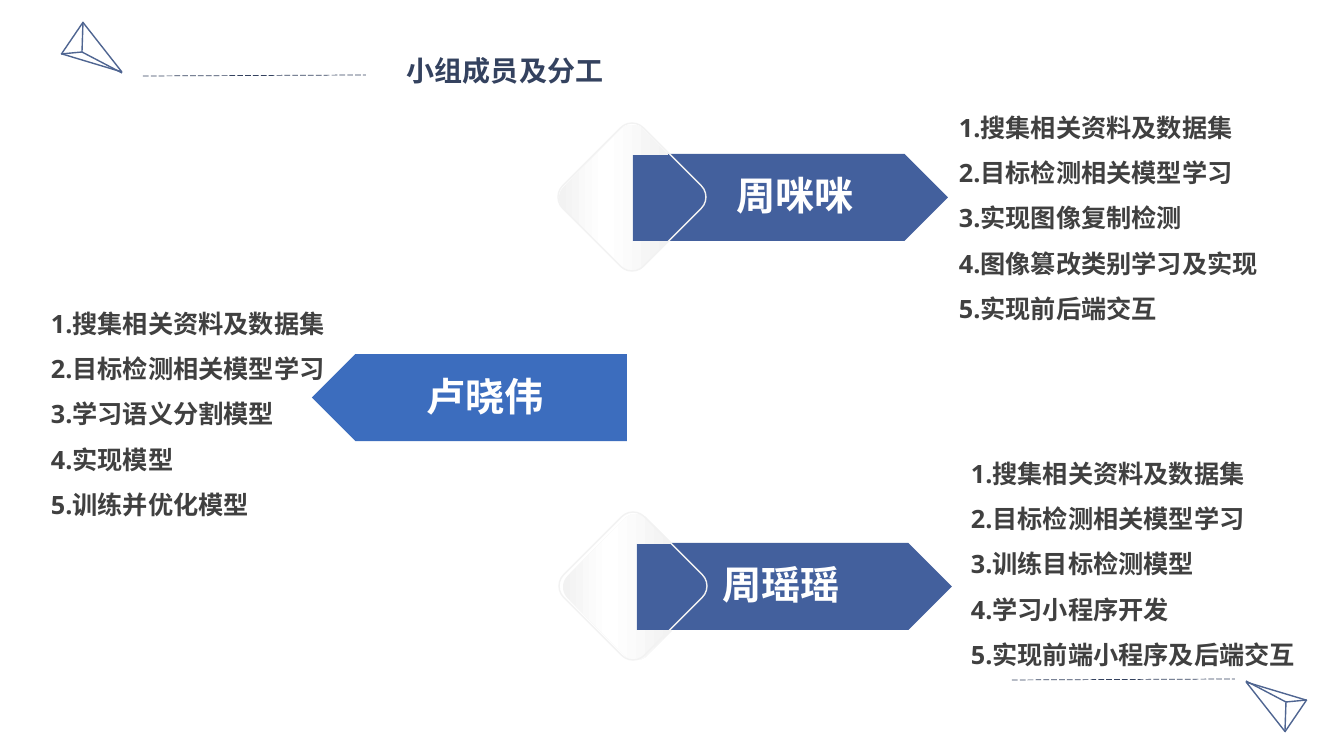
from copy import deepcopy
from math import cos, radians, sin

from lxml.etree import SubElement
from pptx import Presentation
from pptx.dml.color import RGBColor
from pptx.enum.dml import MSO_LINE
from pptx.enum.shapes import MSO_CONNECTOR, MSO_SHAPE
from pptx.enum.text import MSO_ANCHOR, PP_ALIGN
from pptx.oxml.ns import qn
from pptx.util import Emu, Pt

# Content
TITLE = "小组成员及分工"
# name, name box, arrow box, points left, arrow colour
MEMBERS = [
    ("周咪咪", (709, 171, 172, 47), (633, 154, 315, 87), False, "43609D"),
    ("卢晓伟", (410, 372, 150, 47), (312, 354, 315, 87), True, "3C6DBE"),
    ("周瑶瑶", (706, 560, 150, 47), (637, 543, 315, 87), False, "43609D"),
]
TASKS = [
    ((949, 92, 324, 270), ["1.搜集相关资料及数据集", "2.目标检测相关模型学习",
                           "3.实现图像复制检测", "4.图像篡改类别学习及实现",
                           "5.实现前后端交互"]),
    ((41, 288, 297, 270), ["1.搜集相关资料及数据集", "2.目标检测相关模型学习",
                           "3.学习语义分割模型", "4.实现模型", "5.训练并优化模型"]),
    ((961, 438, 349, 270), ["1.搜集相关资料及数据集", "2.目标检测相关模型学习",
                            "3.训练目标检测模型", "4.学习小程序开发",
                            "5.实现前端小程序及后端交互"]),
]
# facet centre, ring centre
DIAMONDS = [((632, 198), (632, 197)), ((636, 587), (633, 586))]
DASHES = [((143, 76), (366, 75)), ((1012, 680), (1235, 679))]
CORNER, RADIUS, SIDE = 57, 16, 114   # diamond corner offset, rounding, side
NOTCH_W, NOTCH_H = 36, 43
FONT, NAVY, PLANE, PALE = "Noto Sans", "34425F", "4F6591", "F2F2F2"


def px(n):
    return Emu(round(n * 914400 / 100.8))


def rgb(value):
    return RGBColor.from_string(value)


def shape(shapes, kind, box, fill=None, line=None):
    sp = shapes.add_shape(kind, *map(px, box))
    return style(sp, fill, line)


def style(sp, fill=None, line=None):
    sp.shadow.inherit = False
    if fill:
        sp.fill.solid()
        sp.fill.fore_color.rgb = rgb(fill)
    else:
        sp.fill.background()
    if line:
        sp.line.color.rgb = rgb(line)
        sp.line.width = Pt(1)
    else:
        sp.line.fill.background()
    return sp


def outline(shapes, points, close):
    pts = [(px(x), px(y)) for x, y in points]
    fb = shapes.build_freeform(*pts[0])
    fb.add_line_segments(pts[1:], close=close)
    return fb.convert_to_shape()


def line(shapes, start, end, color, width):
    c = shapes.add_connector(MSO_CONNECTOR.STRAIGHT, *map(px, start + end))
    c.line.color.rgb = rgb(color)
    c.line.width = Pt(width)
    SubElement(c._element.spPr, qn("a:effectLst"))
    return c


def text(box, lines, size, color, align=None, spacing=None, after=None, inset=True):
    tf = s.shapes.add_textbox(*map(px, box)).text_frame
    tf.word_wrap = True
    if not inset:
        tf.margin_left = tf.margin_right = tf.margin_top = tf.margin_bottom = 0
        tf.vertical_anchor = MSO_ANCHOR.MIDDLE
    for i, words in enumerate(lines):
        p = tf.add_paragraph() if i else tf.paragraphs[0]
        p.alignment, p.line_spacing, p.space_after = align, spacing, after
        r = p.add_run()
        r.text = words
        r.font.name, r.font.size, r.font.bold = FONT, Pt(size), True
        r.font.color.rgb = rgb(color)


def plane(mirrored):
    """Paper plane; the mirrored one is turned about the slide's middle."""
    def at(x, y, w=0, h=0):
        return (1368 - x - w, 754 - y - h) if mirrored else (x, y)
    g = s.shapes.add_group_shape().shapes
    body = shape(g, MSO_SHAPE.ISOSCELES_TRIANGLE, at(78, 25, 38, 60) + (38, 60), line=PLANE)
    body.rotation = 304.3 if mirrored else 124.3
    style(outline(g, [at(122, 73), at(82, 52), at(61, 54)], False), line=PLANE)
    line(g, at(83, 22), at(82, 52), PLANE, 1)


def facet(cx, cy):
    """Left part of a rounded diamond, cut out where the arrow starts."""
    points = [(cx, cy - NOTCH_H), (cx + NOTCH_W, cy - NOTCH_H)]
    # rounded top, left and bottom corners
    for mid in (270, 180, 90):
        ox = cx + CORNER * cos(radians(mid))
        oy = cy + CORNER * sin(radians(mid))
        for a in range(mid + 45, mid - 46, -9):
            points.append((ox + RADIUS * cos(radians(a)), oy + RADIUS * sin(radians(a))))
    points += [(cx + NOTCH_W, cy + NOTCH_H), (cx, cy + NOTCH_H)]
    sp = style(outline(s.shapes, points, True))
    sp.fill.gradient()
    sp.fill.gradient_angle = 0
    first = sp._element.spPr.find(".//" + qn("a:gs"))
    first.addnext(deepcopy(first))
    stops = zip(sp.fill.gradient_stops, [(0, PALE), (0.42, "FFFFFF"), (1, PALE)])
    for stop, (position, color) in stops:
        stop.position = position
        stop.color.rgb = rgb(color)


prs = Presentation()
prs.slide_width, prs.slide_height = px(1344), px(756)
s = prs.slides.add_slide(prs.slide_layouts[6])

# Title and corner ornaments
plane(False)
text((397, 52, 516, 40), [TITLE], 20, NAVY, PP_ALIGN.JUSTIFY, 0.9)
plane(True)
for start, end in DASHES:
    line(s.shapes, start, end, NAVY, 0.5).line.dash_style = MSO_LINE.LONG_DASH

# Member arrows
for _, _, box, leftward, color in MEMBERS:
    arrow = shape(s.shapes, MSO_SHAPE.PENTAGON, box, fill=color)
    arrow.rotation = 180 if leftward else 0

# Diamonds over the arrow tails
for facet_at, (cx, cy) in DIAMONDS:
    facet(*facet_at)
    ring = shape(s.shapes, MSO_SHAPE.ROUNDED_RECTANGLE,
                 (cx - SIDE / 2, cy - SIDE / 2, SIDE, SIDE), line=PALE)
    ring.adjustments[0] = RADIUS / SIDE
    ring.rotation = 45

# Names and tasks
for name, box, *_ in MEMBERS:
    text(box, [name], 28, "FFFFFF", PP_ALIGN.CENTER, after=Pt(12), inset=False)
for box, tasks in TASKS:
    text(box, tasks, 18, "404040", spacing=1.5)

prs.save("out.pptx")
